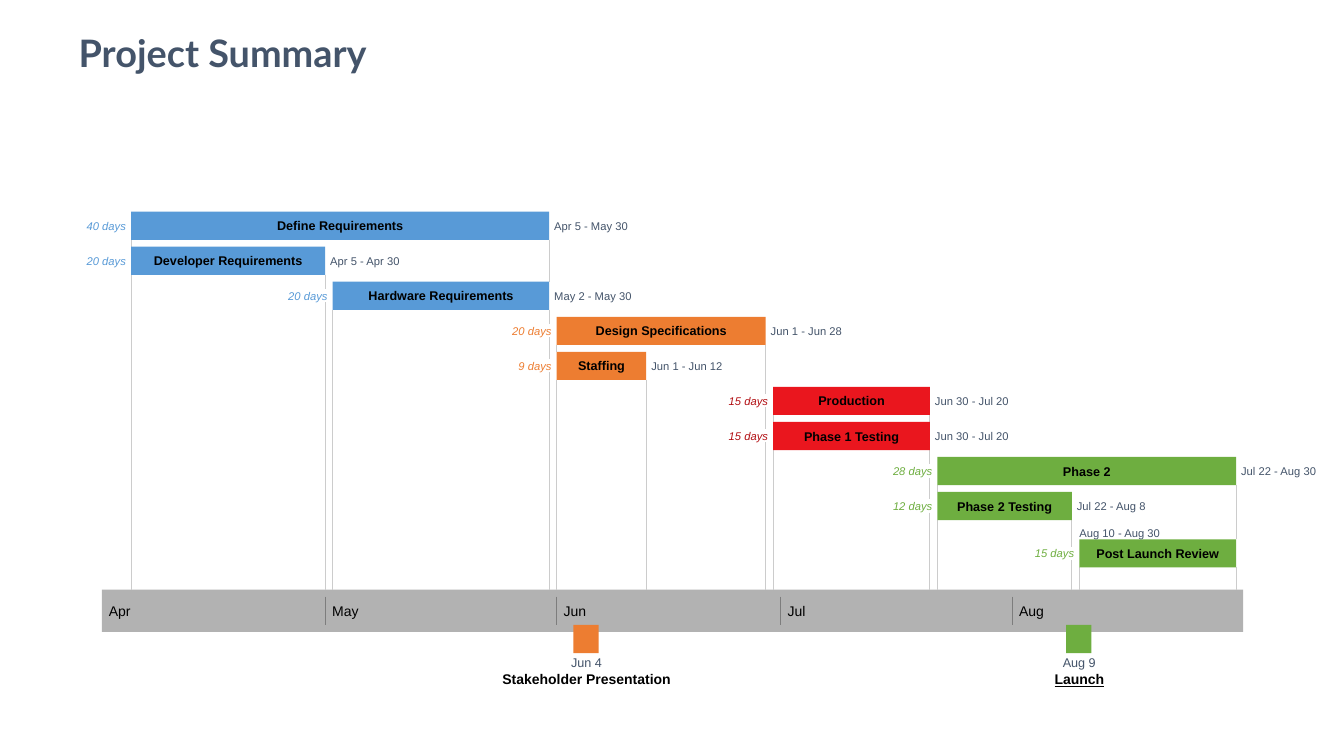
"""Build a project summary slide with a Gantt timeline and two milestones."""
from lxml.etree import SubElement
from pptx import Presentation
from pptx.dml.color import RGBColor
from pptx.enum.shapes import MSO_CONNECTOR, MSO_SHAPE
from pptx.enum.text import MSO_ANCHOR, MSO_AUTO_SIZE, PP_ALIGN
from pptx.oxml.ns import qn
from pptx.util import Inches, Pt

BLUE, ORANGE, RED, GREEN = "589AD7", "ED7D31", "EA161E", "6EAE40"
DARK_RED, SLATE, BLACK = "B20E12", "44546A", "000000"
MONTH_STARTS = {"Apr": -4, "May": 26, "Jun": 57, "Jul": 87, "Aug": 118}
CHART_LEFT, DAY_WIDTH = 1.3, 10.96 / 148
FIRST_ROW, ROW_STEP, BAR_HEIGHT = 2.1, 2.78 / 8, 0.28
BAND_TOP, BAND_HEIGHT = 5.85, 0.42
LABEL_WIDTH, LABEL_HEIGHT, LABEL_GAP = 0.4, 0.13, 0.05

tasks = [
    ("Define Requirements", "40 days", "Apr 5 - May 30", BLUE, BLUE),
    ("Developer Requirements", "20 days", "Apr 5 - Apr 30", BLUE, BLUE),
    ("Hardware Requirements", "20 days", "May 2 - May 30", BLUE, BLUE),
    ("Design Specifications", "20 days", "Jun 1 - Jun 28", ORANGE, ORANGE),
    ("Staffing", "9 days", "Jun 1 - Jun 12", ORANGE, ORANGE),
    ("Production", "15 days", "Jun 30 - Jul 20", RED, DARK_RED),
    ("Phase 1 Testing", "15 days", "Jun 30 - Jul 20", RED, DARK_RED),
    ("Phase 2", "28 days", "Jul 22 - Aug 30", GREEN, GREEN),
    ("Phase 2 Testing", "12 days", "Jul 22 - Aug 8", GREEN, GREEN),
    ("Post Launch Review", "15 days", "Aug 10 - Aug 30", GREEN, GREEN),
]
milestones = [
    ("Stakeholder Presentation", "Jun 4", ORANGE, False),
    ("Launch", "Aug 9", GREEN, True),
]

deck = Presentation()
deck.slide_width, deck.slide_height = Inches(13.33), Inches(7.5)
page = deck.slides.add_slide(deck.slide_layouts[5])


def add_box(text, left, top, width, height, fill=None, size=8, color=SLATE,
            bold=False, italic=False, underline=False, align=PP_ALIGN.LEFT):
    """Add a text box, or a filled rectangle when a fill is given."""
    place = [Inches(value) for value in (left, top, width, height)]
    if fill:
        box = page.shapes.add_shape(MSO_SHAPE.RECTANGLE, *place)
        box.shadow.inherit = False
        box.fill.solid()
        box.fill.fore_color.rgb = RGBColor.from_string(fill)
        box.line.fill.background()
    else:
        box = page.shapes.add_textbox(*place)
    frame = box.text_frame
    frame.margin_left = frame.margin_right = frame.margin_top = frame.margin_bottom = 0
    frame.vertical_anchor = MSO_ANCHOR.MIDDLE
    frame.word_wrap = True
    if text:
        para = frame.paragraphs[0]
        para.alignment = align
        span = para.add_run()
        span.text = text
        font = span.font
        font.name, font.size = "Arial", Pt(size)
        font.bold, font.italic, font.underline = bold, italic, underline
        font.color.rgb = RGBColor.from_string(color)


def date_x(date, days_after=0):
    """Return the horizontal place of a date in inches."""
    month, day = date.split()
    return CHART_LEFT + (MONTH_STARTS[month] + int(day) - 1 + days_after) * DAY_WIDTH


title = page.shapes.title
title.left, title.top, title.width, title.height = [Inches(value) for value in (0.68, 0.4, 6.67, 0.4)]
title.text_frame.text = "Project Summary"
title.text_frame.auto_size = MSO_AUTO_SIZE.NONE
title.text_frame.vertical_anchor = MSO_ANCHOR.BOTTOM
title_para = title.text_frame.paragraphs[0]
title_para.alignment = PP_ALIGN.LEFT
title_para.font.name, title_para.font.size, title_para.font.bold = "Lato", Pt(27), True
title_para.font.color.rgb = RGBColor.from_string(SLATE)

bars = []
for row, (name, duration, dates, fill, label_color) in enumerate(tasks):
    start, end = dates.split(" - ")
    top = 5.35 if row == len(tasks) - 1 else FIRST_ROW + row * ROW_STEP
    bars.append((date_x(start), date_x(end, 1), top))

lines = []
guides_seen = set()
for row, (left, right, top) in enumerate(bars):
    for x in (left, right):
        if round(x, 2) in guides_seen:
            continue
        guides_seen.add(round(x, 2))
        begin = top + BAR_HEIGHT
        for next_left, next_right, next_top in bars[row + 1:]:
            label_top = next_top + (BAR_HEIGHT - LABEL_HEIGHT) / 2
            if next_left - 0.01 < x < next_right + 0.01:
                lines.append((x, begin, next_top, "CCCCCC"))
                begin = next_top + BAR_HEIGHT
            elif next_left - LABEL_GAP - LABEL_WIDTH < x < next_left - LABEL_GAP:
                lines.append((x, begin, label_top, "CCCCCC"))
                begin = label_top + LABEL_HEIGHT
        lines.append((x, begin, BAND_TOP, "CCCCCC"))

add_box("", 1.01, BAND_TOP, 11.32, BAND_HEIGHT, fill="B2B2B2")
for month in MONTH_STARTS:
    month_left = max(1.01, date_x(month + " 1"))
    add_box(month, month_left + 0.07, 5.98, 0.4, 0.16, size=10, color=BLACK)
    if month != "Apr":
        lines.append((month_left, BAND_TOP + 0.07, BAND_TOP + 0.35, "7D7D7D"))

for x, begin, end, color in lines:
    line = page.shapes.add_connector(
        MSO_CONNECTOR.STRAIGHT, Inches(x), Inches(begin), Inches(x), Inches(end))
    line.line.color.rgb = RGBColor.from_string(color)
    line.line.width = Pt(0.75)
    SubElement(line._element.spPr, qn("a:effectLst"))

for (name, duration, dates, fill, label_color), (left, right, top) in zip(tasks, bars):
    label_top = top + (BAR_HEIGHT - LABEL_HEIGHT) / 2
    add_box(name, left, top, right - left, BAR_HEIGHT, fill=fill, size=9,
            color=BLACK, bold=True, align=PP_ALIGN.CENTER)
    add_box(duration, left - LABEL_GAP - LABEL_WIDTH, label_top, LABEL_WIDTH, LABEL_HEIGHT,
            color=label_color, italic=True, align=PP_ALIGN.RIGHT)
    if name == "Post Launch Review":
        add_box(dates, left, top - LABEL_HEIGHT, 0.85, LABEL_HEIGHT)
    else:
        add_box(dates, right + LABEL_GAP, label_top, 0.8, LABEL_HEIGHT)

for name, date, fill, underline in milestones:
    center = date_x(date, 1)
    add_box("", center - 0.13, 6.2, 0.25, BAR_HEIGHT, fill=fill)
    add_box(date, center - 0.25, 6.5, 0.5, 0.14, size=9, align=PP_ALIGN.CENTER)
    add_box(name, center - 0.88, 6.66, 1.76, 0.16, size=10, color=BLACK, bold=True,
            underline=underline, align=PP_ALIGN.CENTER)

deck.save("out.pptx")
